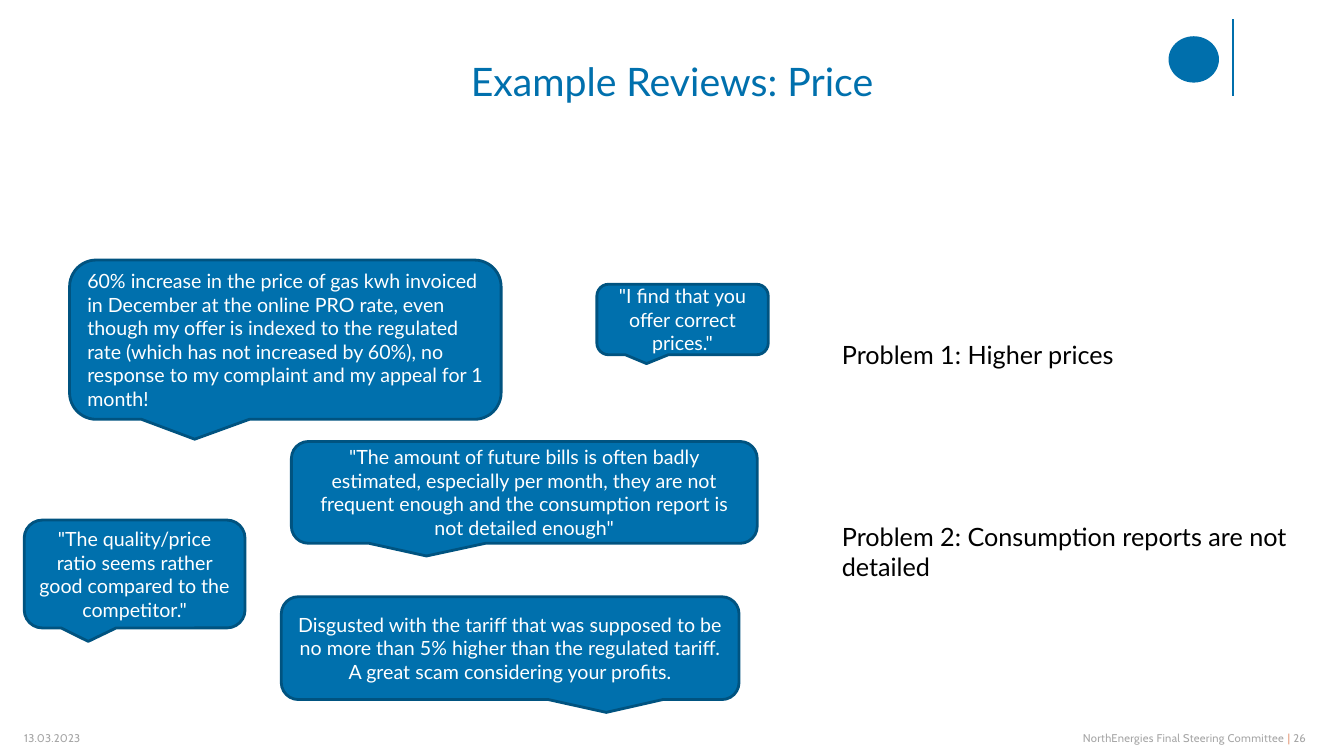
from pptx import Presentation
from pptx.dml.color import RGBColor
from pptx.enum.shapes import MSO_CONNECTOR, MSO_SHAPE
from pptx.enum.text import MSO_ANCHOR, PP_ALIGN
from pptx.oxml.ns import qn
from pptx.util import Inches, Pt
from lxml import etree

LEFT, CENTER = PP_ALIGN.LEFT, PP_ALIGN.CENTER
MIDDLE = MSO_ANCHOR.MIDDLE
CALLOUT, OVAL = MSO_SHAPE.ROUNDED_RECTANGULAR_CALLOUT, MSO_SHAPE.OVAL
STRAIGHT = MSO_CONNECTOR.STRAIGHT

COLORS = {
    "blue": "0070AD",
    "border": "005380",
    "emblem": "006FAC",
    "white": "FFFFFF",
    "black": "000000",
    "gray": "A6A6A6",
    "orange": "E29674",
}


def color(name):
    return RGBColor.from_string(COLORS[name])


def add_text(left, top, width, height, paragraphs, size, font, align=LEFT, spacing=0):
    box = slide.shapes.add_textbox(Inches(left), Inches(top), Inches(width), Inches(height))
    frame = box.text_frame
    frame.word_wrap = True
    frame.margin_left = frame.margin_right = frame.margin_top = frame.margin_bottom = 0
    for index, runs in enumerate(paragraphs):
        paragraph = frame.add_paragraph() if index else frame.paragraphs[0]
        paragraph.alignment = align
        if index:
            paragraph.space_before = Pt(108)
        for text, color_name in runs:
            run = paragraph.add_run()
            run.text = text
            run.font.name = font
            run.font.size = Pt(size)
            run.font.color.rgb = color(color_name)
            if spacing:
                run._r.get_or_add_rPr().set("spc", str(spacing))


presentation = Presentation()
presentation.slide_width = Inches(13.33)
presentation.slide_height = Inches(7.5)
slide = presentation.slides.add_slide(presentation.slide_layouts[6])

emblem = slide.shapes.add_shape(OVAL, Inches(11.59), Inches(0.36), Inches(0.5), Inches(0.46))
emblem.shadow.inherit = False
emblem.fill.solid()
emblem.fill.fore_color.rgb = color("emblem")
emblem.line.fill.background()

divider = slide.shapes.add_connector(
    STRAIGHT, Inches(12.23), Inches(0.19), Inches(12.23), Inches(0.95)
)
divider.line.color.rgb = color("emblem")
divider.line.width = Pt(1.5)
etree.SubElement(divider._element.spPr, qn("a:effectLst"))

add_text(3.72, 0.57, 5.89, 0.47, [[("Example Reviews: Price", "blue")]], 28, "Lato", CENTER)
add_text(0.24, 7.26, 3.42, 0.13, [[("13.03.2023", "gray")]], 8, "Cabin", spacing=10)
footer = [("NorthEnergies Final Steering Committee ", "gray"), ("| ", "orange"), ("26", "gray")]
add_text(10.74, 7.26, 2.35, 0.13, [footer], 8, "Cabin", spacing=20)

reviews = [
    (2.79, 5.92, 4.54, 1.02, CENTER, 0.21,
     "Disgusted with the tariff that was supposed to be no more than 5% higher "
     "than the regulated tariff. A great scam considering your profits."),
    (0.69, 2.58, 4.28, 1.58, LEFT, -0.21,
     "60% increase in the price of gas kwh invoiced in December at the online PRO rate, "
     "even though my offer is indexed to the regulated rate (which has not increased by 60%), "
     "no response to my complaint and my appeal for 1 month!"),
    (5.92, 2.82, 1.7, 0.7, CENTER, -0.21, '"I find that you offer correct prices."'),
    (0.24, 5.16, 2.19, 1.07, CENTER, -0.21,
     '"The quality/price ratio seems rather good compared to the competitor."'),
    (2.89, 4.38, 4.62, 1.01, CENTER, -0.21,
     '"The amount of future bills is often badly estimated, especially per month, they are '
     'not frequent enough and the consumption report is not detailed enough"'),
]
for left, top, width, height, align, tail, text in reviews:
    bubble = slide.shapes.add_shape(
        CALLOUT, Inches(left), Inches(top), Inches(width), Inches(height)
    )
    bubble.shadow.inherit = False
    bubble.adjustments[0] = tail
    bubble.adjustments[1] = 0.625
    bubble.fill.solid()
    bubble.fill.fore_color.rgb = color("blue")
    bubble.line.color.rgb = color("border")
    bubble.line.width = Pt(2)
    frame = bubble.text_frame
    frame.word_wrap = True
    frame.vertical_anchor = MIDDLE
    frame.text = text
    paragraph = frame.paragraphs[0]
    paragraph.alignment = align
    font = paragraph.runs[0].font
    font.name = "Lato"
    font.size = Pt(14)
    font.color.rgb = color("white")

problems = [
    [("Problem 1: Higher prices", "black")],
    [("Problem 2: Consumption reports are not detailed", "black")],
]
add_text(8.35, 3.37, 4.74, 2.73, problems, 18, "Lato")

presentation.save("out.pptx")
